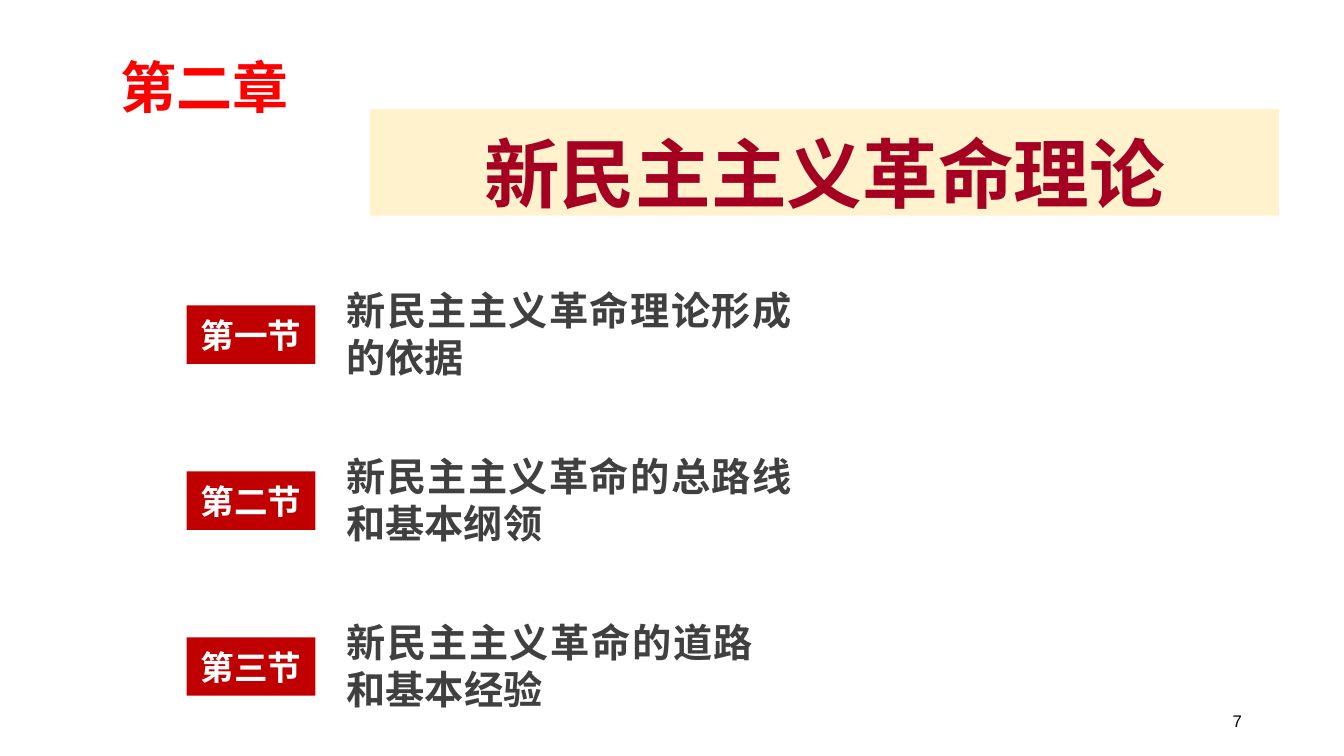
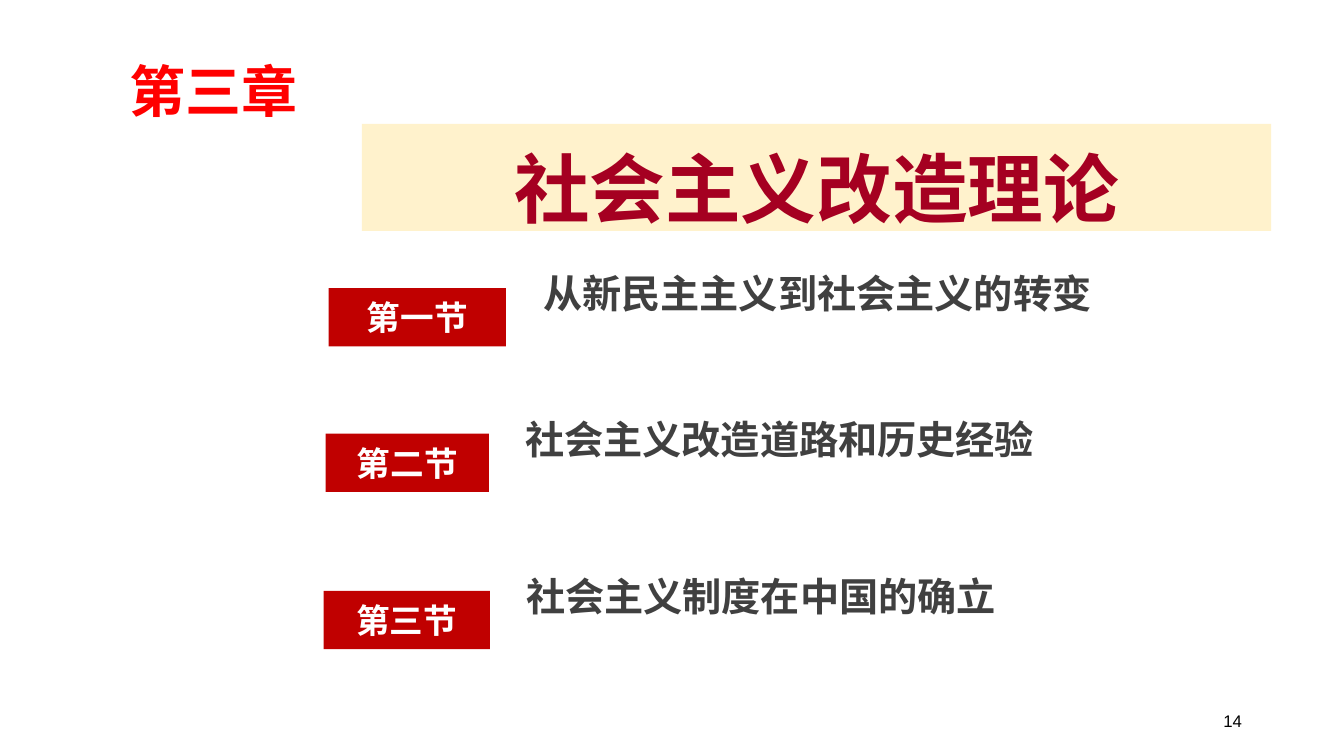
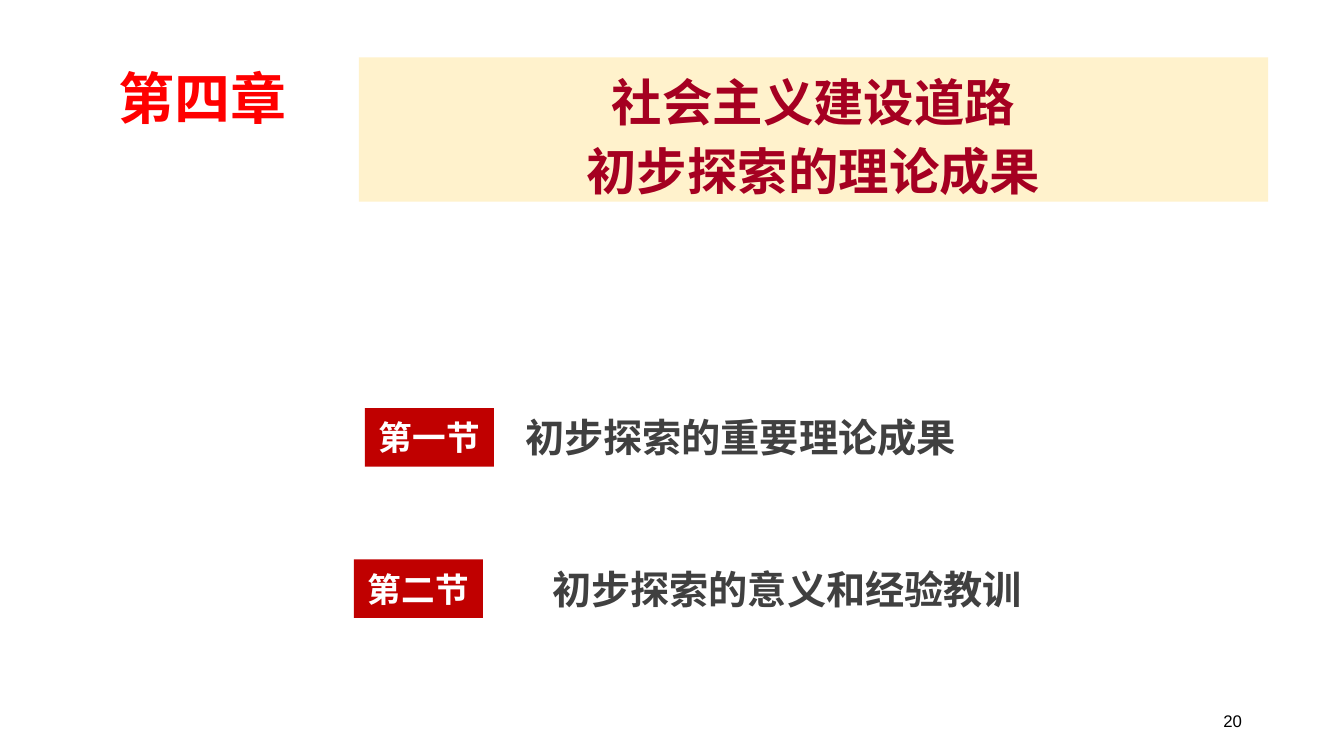
"""Build three chapter opening slides with their section lists."""
from dataclasses import dataclass

from lxml.etree import SubElement
from pptx import Presentation
from pptx.dml.color import RGBColor
from pptx.enum.shapes import MSO_SHAPE
from pptx.enum.text import MSO_ANCHOR, MSO_AUTO_SIZE, PP_ALIGN
from pptx.oxml.ns import qn
from pptx.util import Inches, Pt


@dataclass(frozen=True)
class Theme:
    """Colours, fonts, type sizes and shared measures in percent of the slide."""
    black: str = "000000"
    white: str = "FFFFFF"
    chapter_red: str = "FF0000"
    title_red: str = "A50021"
    badge_red: str = "C00000"
    cream: str = "FFF2CC"
    grey: str = "404040"
    plain_font: str = "Arial"
    title_font: str = "TeX Gyre Adventor"
    chinese_font: str = "Noto Sans CJK SC"
    number_size: int = 12
    badge_size: int = 24
    section_size: int = 28
    chapter_size: int = 40
    title_spacing: float = 1.14
    number_box: tuple = (70.65, 92.67, 22.5, 5.33)
    chapter_extent: tuple = (29.7, 10.27)
    band_width: float = 67.65
    badge_height: float = 7.73


THEME = Theme()


def write_text(shape, text, *, size, color, font=THEME.plain_font, bold=True,
               align=PP_ALIGN.CENTER, anchor=MSO_ANCHOR.TOP, spacing=None):
    """Fill a shape with formatted text, one paragraph per line."""
    frame = shape.text_frame
    frame.word_wrap = True
    frame.auto_size = MSO_AUTO_SIZE.NONE
    frame.vertical_anchor = anchor
    for index, line in enumerate(text.split("\n")):
        paragraph = frame.add_paragraph() if index else frame.paragraphs[0]
        paragraph.alignment = align
        paragraph.line_spacing = spacing
        run = paragraph.add_run()
        run.text = line
        run.font.size = Pt(size)
        run.font.bold = bold
        run.font.name = font
        run.font.color.rgb = RGBColor.from_string(color)
        SubElement(run._r.get_or_add_rPr(), qn("a:ea"), typeface=THEME.title_font)


class ChapterDeck:
    """Holds the presentation, the theme and the current slide."""

    def __init__(self, theme):
        """Start an empty widescreen presentation."""
        self.theme = theme
        self.presentation = Presentation()
        self.presentation.slide_width = Inches(13.33)
        self.presentation.slide_height = Inches(7.5)
        self.slide = None

    def box(self, left, top, width, height):
        """Turn percentages of the slide into lengths."""
        across = self.presentation.slide_width / 100
        down = self.presentation.slide_height / 100
        return [round(length) for length in
                (left * across, top * down, width * across, height * down)]

    def add_slide(self, number):
        """Add a slide with its page number."""
        layout = self.presentation.slide_layouts.get_by_name("Title Only")
        self.slide = self.presentation.slides.add_slide(layout)
        shape = self.slide.shapes.add_textbox(*self.box(*self.theme.number_box))
        write_text(shape, number, size=self.theme.number_size, color=self.theme.black,
                   bold=False, align=PP_ALIGN.RIGHT, anchor=MSO_ANCHOR.MIDDLE)

    def chapter(self, text, left, top):
        """Add the chapter label."""
        shape = self.slide.shapes.add_textbox(
            *self.box(left, top, *self.theme.chapter_extent))
        write_text(shape, text, size=self.theme.chapter_size,
                   color=self.theme.chapter_red)

    def title(self, text, left, top, height, size):
        """Lay the title placeholder out as a cream band."""
        shape = self.slide.shapes.title
        shape.left, shape.top, shape.width, shape.height = self.box(
            left, top, self.theme.band_width, height)
        shape.fill.solid()
        shape.fill.fore_color.rgb = RGBColor.from_string(self.theme.cream)
        write_text(shape, text, size=size, color=self.theme.title_red,
                   font=self.theme.title_font, spacing=self.theme.title_spacing)

    def section(self, label, text, top, badge, heading, height, font):
        """Group a red badge with a heading centred on its height."""
        theme = self.theme
        group = self.slide.shapes.add_group_shape()
        badge_left, badge_width = badge
        shape = group.shapes.add_shape(MSO_SHAPE.RECTANGLE, *self.box(
            badge_left, top, badge_width, theme.badge_height))
        shape.shadow.inherit = False
        shape.fill.solid()
        shape.fill.fore_color.rgb = RGBColor.from_string(theme.badge_red)
        shape.line.fill.background()
        write_text(shape, label, size=theme.badge_size, color=theme.white,
                   anchor=MSO_ANCHOR.MIDDLE)
        heading_left, heading_width = heading
        heading_top = top + (theme.badge_height - height) / 2
        shape = group.shapes.add_textbox(
            *self.box(heading_left, heading_top, heading_width, height))
        write_text(shape, text, size=theme.section_size, color=theme.grey,
                   font=font, align=PP_ALIGN.JUSTIFY)


PLAIN, CHINESE = THEME.plain_font, THEME.chinese_font
SECTION_LABELS = ("第一节", "第二节", "第三节")
CHAPTERS = (
    dict(number="7", chapter=("第二章", 0.37, 6.27),
         title=("新民主主义革命理论", 27.53, 14.4, 14.13, 54), height=14,
         sections=(
             ("新民主主义革命理论形成的依据", 40.4, (13.88, 9.6), (25.05, 34.58), CHINESE),
             ("新民主主义革命的总路线和基本纲领", 62.35, (13.88, 9.6), (25.05, 34.58), PLAIN),
             ("新民主主义革命的道路和基本经验", 84.3, (13.88, 9.6), (25.05, 31.73), PLAIN))),
    dict(number="14", chapter=("第三章", 1.05, 6.8),
         title=("社会主义改造理论", 26.93, 16.4, 14.13, 54), height=14,
         sections=(
             ("从新民主主义到社会主义的转变", 38.1, (24.45, 13.2), (39.68, 47.25), CHINESE),
             ("社会主义改造道路和历史经验", 57.35, (24.23, 12.15), (38.33, 43.58), CHINESE),
             ("社会主义制度在中国的确立", 78.15, (24.08, 12.38), (38.4, 40.8), CHINESE))),
    dict(number="20", chapter=("第四章", 0.22, 7.73),
         title=("社会主义建设道路\n初步探索的理论成果", 26.7, 7.6, 19.07, 36), height=7.6,
         sections=(
             ("初步探索的重要理论成果", 54, (27.15, 9.6), (38.33, 34.58), PLAIN),
             ("初步探索的意义和经验教训", 74, (26.33, 9.6), (40.35, 37.65), PLAIN))),
)


def main():
    """Build and save the chapter slides."""
    deck = ChapterDeck(THEME)
    for content in CHAPTERS:
        deck.add_slide(content["number"])
        deck.chapter(*content["chapter"])
        deck.title(*content["title"])
        for label, (text, top, badge, heading, font) in zip(
                SECTION_LABELS, content["sections"]):
            deck.section(label, text, top, badge, heading, content["height"], font)
    deck.presentation.save("out.pptx")


if __name__ == "__main__":
    main()
